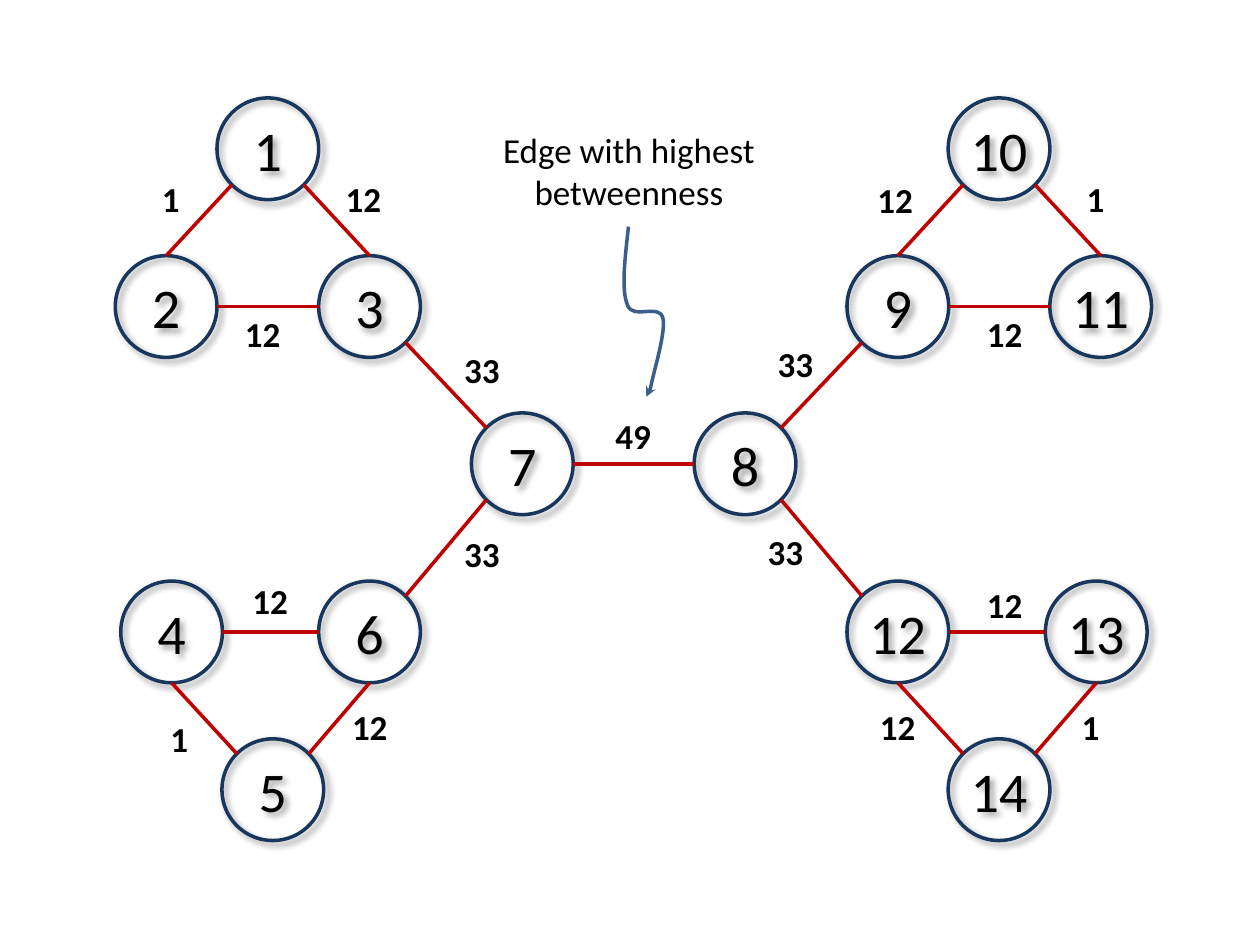
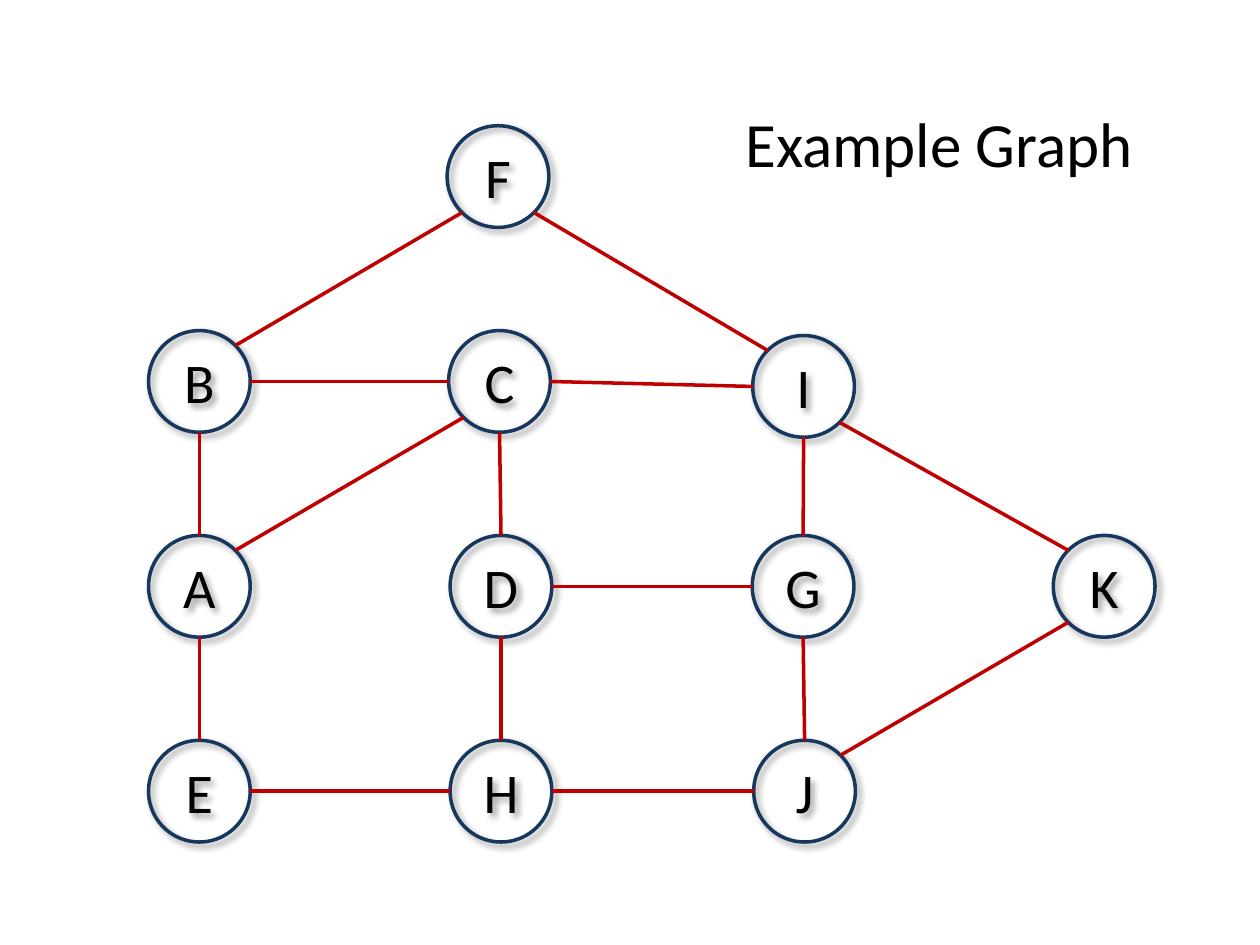
"""Build two slides of graphs: edge betweenness and an example graph."""
from dataclasses import dataclass
from math import cos, pi, sin

from lxml.etree import SubElement
from pptx import Presentation
from pptx.dml.color import RGBColor
from pptx.enum.shapes import MSO_CONNECTOR, MSO_SHAPE
from pptx.enum.text import MSO_ANCHOR, PP_ALIGN
from pptx.oxml.ns import qn
from pptx.util import Cm, Pt


@dataclass(frozen=True)
class Theme:
    font: str = "Calibri"
    ink: str = "000000"
    ring: str = "17375E"
    edge: str = "C00000"
    arrow: str = "3A5F8C"
    stroke: float = 2
    node: float = 32
    label: float = 20
    title: float = 36


theme = Theme()
size = 2.05
N, NW, W, SW, S, SE, E, NE = range(8)


def write(shape, text, points, bold=False):
    frame = shape.text_frame
    frame.word_wrap = True
    para = frame.paragraphs[0]
    para.alignment = PP_ALIGN.CENTER
    run = para.add_run()
    run.text = text
    run.font.name = theme.font
    run.font.size = Pt(points)
    run.font.bold = bold
    run.font.color.rgb = RGBColor.from_string(theme.ink)


def stroke(shape, color):
    shape.line.color.rgb = RGBColor.from_string(color)
    shape.line.width = Pt(theme.stroke)


between = {
    "nodes": {
        "1": (5.4, 3), "2": (3.35, 6.18), "3": (7.45, 6.18),
        "4": (3.46, 12.74), "5": (5.5, 15.92), "6": (7.45, 12.74),
        "7": (10.53, 9.35), "8": (15.02, 9.35),
        "9": (18.1, 6.18), "10": (20.14, 3), "11": (22.19, 6.18),
        "12": (18.1, 12.74), "13": (22.1, 12.74), "14": (20.14, 15.92),
    },
    "edges": [
        ("1", SW, "2", N), ("3", N, "1", SE), ("3", W, "2", E),
        ("10", SW, "9", N), ("11", N, "10", SE), ("11", W, "9", E),
        ("5", NW, "4", S), ("6", S, "5", NE), ("6", W, "4", E),
        ("14", NW, "12", S), ("13", S, "14", NE), ("13", W, "12", E),
        ("7", NW, "3", SE), ("7", SW, "6", NE), ("8", W, "7", E),
        ("8", NE, "9", SW), ("12", NW, "8", SE),
    ],
    "labels": {
        "1": [(2.62, 3.45), (2.79, 14.33), (21.26, 3.45), (21.16, 14.1)],
        "12": [(4.47, 6.17), (6.5, 3.45), (17.22, 3.48), (19.43, 6.17),
               (19.43, 11.63), (4.62, 11.56), (6.63, 14.1), (17.27, 14.1)],
        "33": [(8.89, 6.91), (8.89, 10.62), (15.21, 6.78), (15.01, 10.57)],
        "49": [(11.94, 8.23)],
    },
    "title": ("Edge with highest betweenness", theme.label,
              (8.64, 2.46, 8.08, 1.96)),
    "curve": [
        (13.03, 8), (13.03, 8.03), (13.06, 8.03), (13.13, 7.75),
        (13.18, 7.49), (13.44, 6.65), (13.36, 6.4),
        (13.28, 6.12), (12.75, 6.45), (12.65, 6.15),
        (12.52, 5.84), (12.6, 5.21), (12.67, 4.57),
    ],
}
sample = {
    "nodes": {
        "A": (4.02, 11.82), "B": (4.02, 7.69), "C": (10.07, 7.69),
        "D": (10.1, 11.82), "E": (4.02, 15.95), "F": (10.04, 3.56),
        "G": (16.19, 11.82), "H": (10.1, 15.95), "I": (16.2, 7.79),
        "J": (16.22, 15.95), "K": (22.26, 11.82),
    },
    "edges": [
        ("B", S, "A", N), ("F", SW, "B", NE), ("C", SW, "A", NE),
        ("K", NW, "I", SE), ("H", W, "E", E), ("J", W, "H", E),
        ("D", N, "C", S), ("D", S, "H", N), ("G", W, "D", E),
        ("G", N, "I", S), ("J", N, "G", S), ("K", SW, "J", NE),
        ("E", N, "A", S), ("F", SE, "I", NW), ("C", E, "I", W),
        ("B", E, "C", W),
    ],
    "labels": {},
    "title": ("Example Graph", theme.title, (14.17, 1.98, 9.53, 1.8)),
    "curve": [],
}

deck = Presentation()
deck.slide_width, deck.slide_height = Cm(25.4), Cm(19.05)

for graph in (between, sample):
    shapes = deck.slides.add_slide(deck.slide_layouts[6]).shapes

    rings = {}
    for name, (x, y) in graph["nodes"].items():
        ring = shapes.add_shape(MSO_SHAPE.OVAL, Cm(x - size / 2),
                                Cm(y - size / 2), Cm(size), Cm(size))
        ring.fill.background()
        stroke(ring, theme.ring)
        ring.shadow.inherit = False
        glow = SubElement(ring.element.spPr.find(qn("a:effectLst")),
                          qn("a:outerShdw"), blurRad=str(Pt(4)),
                          dist=str(Pt(3)), dir="2700000", rotWithShape="0")
        tint = SubElement(glow, qn("a:srgbClr"), val=theme.ink)
        SubElement(tint, qn("a:alpha"), val="40000")
        frame = ring.text_frame
        frame.margin_left = frame.margin_right = 0
        frame.vertical_anchor = MSO_ANCHOR.MIDDLE
        write(ring, name, theme.node)
        rings[name] = ring

    for start, out, stop, into in graph["edges"]:
        ends = []
        for name, site in ((start, out), (stop, into)):
            x, y = graph["nodes"][name]
            turn = site * pi / 4
            ends += [Cm(x - size / 2 * sin(turn)), Cm(y - size / 2 * cos(turn))]
        edge = shapes.add_connector(MSO_CONNECTOR.STRAIGHT, *ends)
        stroke(edge, theme.edge)
        SubElement(edge.element.spPr, qn("a:effectLst"))
        joint = edge.element.nvCxnSpPr.cNvCxnSpPr
        for tag, name, site in (("a:stCxn", start, out), ("a:endCxn", stop, into)):
            SubElement(joint, qn(tag), id=str(rings[name].shape_id), idx=str(site))

    text, points, place = graph["title"]
    write(shapes.add_textbox(*map(Cm, place)), text, points)
    for text, spots in graph["labels"].items():
        for x, y in spots:
            box = shapes.add_textbox(Cm(x), Cm(y), Cm(1.65), Cm(1.12))
            write(box, text, theme.label, True)

    if graph["curve"]:
        first, *rest = [(Cm(x), Cm(y)) for x, y in graph["curve"]]
        pen = shapes.build_freeform(*first)
        pen.add_line_segments(rest, close=False)
        curve = pen.convert_to_shape()
        curve.fill.background()
        curve.shadow.inherit = False
        stroke(curve, theme.arrow)
        SubElement(curve.element.spPr.find(qn("a:ln")), qn("a:headEnd"), type="stealth")
        track = curve.element.spPr.find(".//" + qn("a:path"))
        legs = track.findall(qn("a:lnTo"))
        for i in range(0, len(legs), 3):
            bend = SubElement(track, qn("a:cubicBezTo"))
            for leg in legs[i:i + 3]:
                bend.append(leg[0])
                track.remove(leg)

deck.save("out.pptx")
